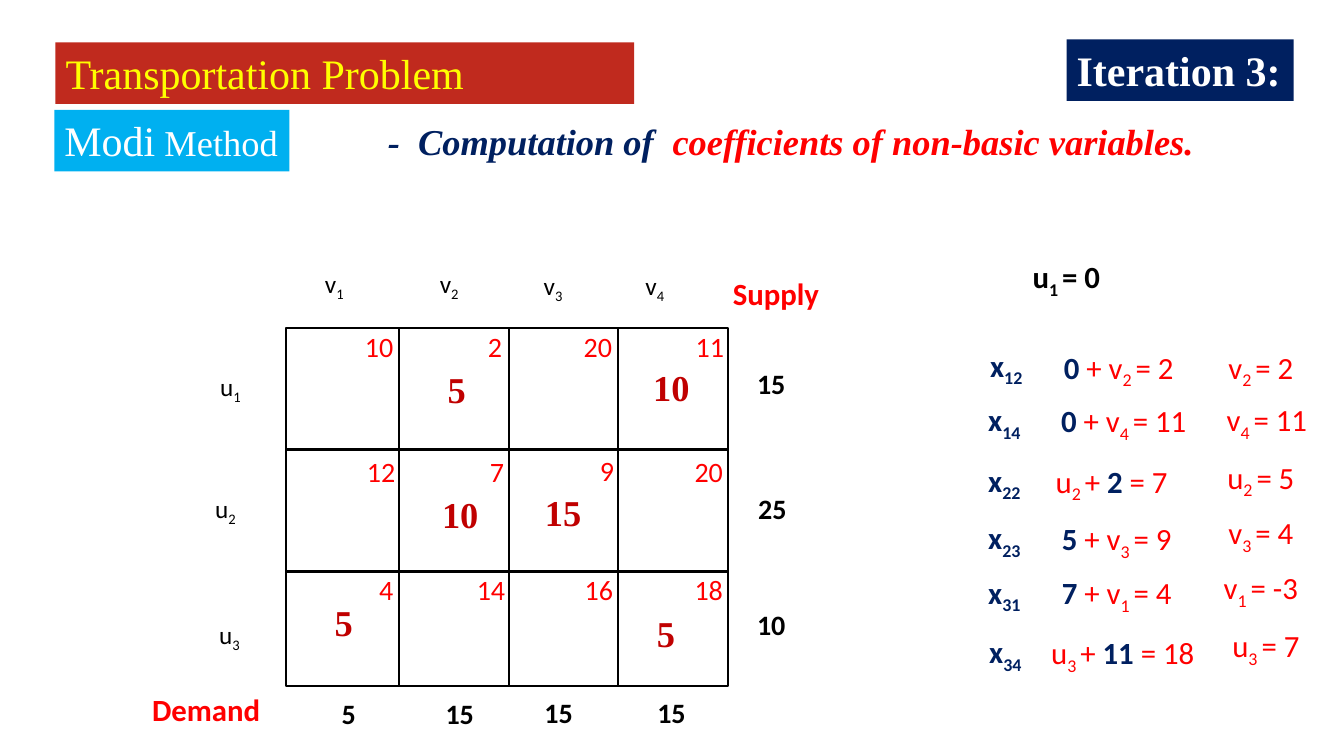
from lxml.etree import SubElement
from pptx import Presentation
from pptx.dml.color import RGBColor
from pptx.enum.shapes import MSO_SHAPE
from pptx.enum.text import MSO_ANCHOR, PP_ALIGN
from pptx.oxml.ns import qn
from pptx.util import Pt

PX = 9144  # EMU in one px, 100 px to the inch
BLACK = RGBColor(0x00, 0x00, 0x00)
WHITE = RGBColor(0xFF, 0xFF, 0xFF)
RED = RGBColor(0xFF, 0x00, 0x00)
DARK_RED = RGBColor(0xC0, 0x00, 0x00)
NAVY = RGBColor(0x00, 0x20, 0x60)
BRICK = RGBColor(0xC0, 0x2A, 0x1E)
YELLOW = RGBColor(0xFF, 0xFF, 0x00)
SKY = RGBColor(0x00, 0xB0, 0xF0)
SANS, SERIF = "Calibri", "Times New Roman"


def style(name, size, color, bold=False, italic=False):
    return {"name": name, "size": Pt(size), "bold": bold, "italic": italic, "color": color}


HEADING = style(SERIF, 30, WHITE)
SUBTITLE = style(SERIF, 26, NAVY, bold=True, italic=True)
INDEX = style(SANS, 18, BLACK)
TOTAL = style(SANS, 20, BLACK, bold=True)
CAPTION = style(SANS, 22, RED, bold=True)
COST = style(SANS, 20, RED)
ALLOCATION = style(SERIF, 26, DARK_RED, bold=True)
EQUATION = style(SANS, 22, RED)
KNOWN = style(SANS, 22, NAVY, bold=True)
START = style(SANS, 22, BLACK, bold=True)


class SlideBuilder:
    """Holds the text styling rules and the slide being filled."""

    def __init__(self, page):
        self.page = page

    def scale(self, area):
        return [length * PX for length in area]

    def fill_text(self, box, spans, centred):
        """Spans are (text, format) pairs; a text starting with _ is a subscript."""
        frame = box.text_frame
        layout = {
            "word_wrap": True,
            "vertical_anchor": MSO_ANCHOR.MIDDLE if centred else MSO_ANCHOR.TOP,
            "margin_left": 0 if centred else 10 * PX,
            "margin_right": 0,
            "margin_top": 5 * PX,
            "margin_bottom": 5 * PX,
        }
        for key, value in layout.items():
            setattr(frame, key, value)
        para = frame.paragraphs[0]
        para.alignment = PP_ALIGN.CENTER if centred else PP_ALIGN.LEFT
        for text, look in spans:
            span = para.add_run()
            span.text = text.removeprefix("_")
            for key, value in look.items():
                if key == "color":
                    span.font.color.rgb = value
                else:
                    setattr(span.font, key, value)
            if text.startswith("_"):
                span._r.get_or_add_rPr().set("baseline", "-25000")
        return para

    def title(self, area, spans, fill):
        box = self.page.shapes.title
        box.left, box.top, box.width, box.height = self.scale(area)
        box.fill.solid()
        box.fill.fore_color.rgb = fill
        self.fill_text(box, spans, centred=False)

    def text(self, area, spans, centred=True):
        box = self.page.shapes.add_textbox(*self.scale(area))
        return self.fill_text(box, spans, centred)

    def panel(self, area, spans=(), fill=WHITE, centred=True, outlined=False):
        box = self.page.shapes.add_shape(MSO_SHAPE.RECTANGLE, *self.scale(area))
        box.shadow.inherit = False
        box.fill.solid()
        box.fill.fore_color.rgb = fill
        if outlined:
            box.line.color.rgb = BLACK
            box.line.width = Pt(1.5)
        else:
            box.line.fill.background()
        self.fill_text(box, spans, centred)

    def tab_stop(self, para, position):
        stops = SubElement(para._p.get_or_add_pPr(), qn("a:tabLst"))
        SubElement(stops, qn("a:tab"), pos=str(position * PX), algn="l")


def formula(marked, look=EQUATION):
    """Split at |, and set the parts that start with * as known values."""
    return [
        (part.removeprefix("*"), KNOWN if part.startswith("*") else look)
        for part in marked.split("|")
    ]


def main():
    deck = Presentation()
    deck.slide_width, deck.slide_height = 1333 * PX, 750 * PX
    page = deck.slides.add_slide(deck.slide_layouts[5])
    builder = SlideBuilder(page)

    # Headings
    builder.title((55, 42, 574, 61), [("Transportation Problem", HEADING | {"color": YELLOW})], BRICK)
    builder.panel((1058, 39, 225, 61), [("Iteration 3:", HEADING | {"bold": True})], NAVY, centred=False)
    builder.panel((54, 109, 233, 61), [("Modi", HEADING), (" Method", HEADING | {"size": Pt(26)})],
                  SKY, centred=False)
    subtitle = builder.text(
        (375, 113, 820, 54),
        [("-\tComputation of ", SUBTITLE),
         (" coefficients of non-basic variables.", SUBTITLE | {"color": RED})],
        centred=False)
    builder.tab_stop(subtitle, 30)

    # Transportation grid
    columns, rows = (284, 396, 505, 613, 722), (325, 446, 567, 681)
    for top, bottom in zip(rows, rows[1:]):
        for left, right in zip(columns, columns[1:]):
            builder.panel((left, top, right - left, bottom - top), outlined=True)

    # Row and column multipliers
    for number, (left, top) in enumerate([(189, 351), (184, 472), (188, 597)], 1):
        builder.panel((left, top, 79, 69), formula(f"u|_{number}", INDEX))
    for number, (left, top) in enumerate([(284, 248), (398, 248), (501, 250), (602, 250)], 1):
        builder.panel((left, top, 95, 70), formula(f"v|_{number}", INDEX))

    # Supply and demand
    builder.text((717, 268, 125, 47), [("Supply", CAPTION)], centred=False)
    builder.text((141, 680, 144, 47), [("Demand", CAPTION)], centred=False)
    totals = [
        ("15", 738, 346), ("25", 739, 470), ("10", 738, 585),
        ("5", 319, 673), ("15", 429, 673), ("15", 527, 672), ("15", 639, 672),
    ]
    for amount, left, top in totals:
        builder.text((left, top, 54, 69), [(amount, TOTAL)])

    # Unit costs, by the middle of each number
    costs = [
        ("10", 376, 344), ("2", 491, 344), ("20", 593, 344), ("11", 704, 344),
        ("12", 378, 468), ("7", 493, 468), ("9", 602, 467), ("20", 703, 468),
        ("4", 383, 585), ("14", 487, 585), ("16", 594, 585), ("18", 703, 585),
    ]
    for cost, middle, centre in costs:
        builder.text((middle - 27, centre - 20, 54, 40), [(cost, COST)])

    # Allocations
    allocations = [
        ("5", 414, 361, 78), ("10", 628, 359, 76), ("10", 424, 485, 65),
        ("15", 526, 483, 65), ("5", 302, 592, 78), ("5", 626, 603, 69),
    ]
    for amount, left, top, width in allocations:
        builder.text((left, top, width, 50), [(amount, ALLOCATION)])

    # Equations of the basic variables: name, equation, result
    builder.panel((978, 242, 159, 69), formula("u|_1 |= 0", START))
    equations = [
        ("12", 966, 330, "*0 |+ v|_2 |= 2", 1030, 332, "v|_2 |= 2", 1200, 332),
        ("14", 964, 384, "*0 |+ v|_4 |= 11", 1035, 385, "v|_4 |= 11", 1206, 384),
        ("22", 964, 444, "u|_2 |+ |*2 |= 7", 1023, 445, "u|_2 |= 5", 1200, 441),
        ("23", 964, 501, "*5 |+ v|_3 |= 9", 1028, 502, "v|_3 |= 4", 1200, 496),
        ("31", 964, 555, "*7 |+ v|_1 |= 4", 1028, 556, "v|_1 |= -3", 1200, 551),
        ("34", 965, 614, "u|_3 |+ |*11 |= 18", 1034, 615, "u|_3 |= 7", 1205, 608),
    ]
    for cell, cell_x, cell_y, equation, x, y, result, result_x, result_y in equations:
        builder.panel((x, y, 159, 69), formula(equation))
        builder.panel((cell_x, cell_y, 64, 69), formula(f"x|_{cell}", KNOWN))
        builder.text((result_x, result_y, 101, 69), formula(result))

    deck.save("out.pptx")


if __name__ == "__main__":
    main()
